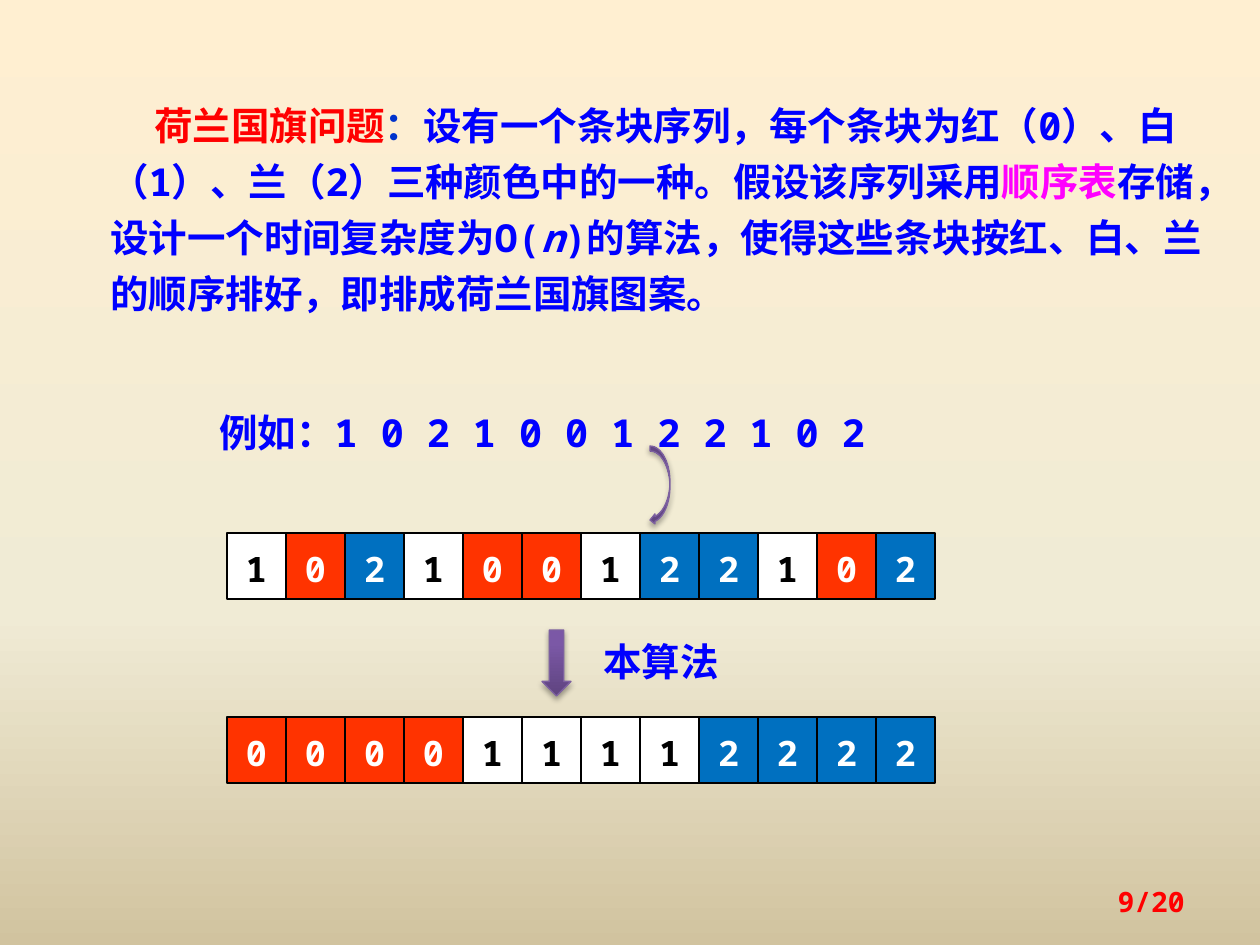
from copy import deepcopy
from lxml.etree import SubElement
from pptx import Presentation
from pptx.dml.color import RGBColor as RGB
from pptx.enum.shapes import MSO_SHAPE as SHAPE
from pptx.enum.text import MSO_ANCHOR as ANCHOR, MSO_AUTO_SIZE as AUTO, PP_ALIGN as ALIGN
from pptx.oxml import parse_xml
from pptx.oxml.ns import nsdecls, qn
from pptx.util import Emu, Pt

FACE = "Noto Sans Mono"
RED = RGB(0xFF, 0x00, 0x00)
BLUE = RGB(0x00, 0x00, 0xFF)
NAVY = RGB(0x00, 0x33, 0xCC)
PINK = RGB(0xFF, 0x00, 0xFF)
BLACK = RGB(0x00, 0x00, 0x00)
WHITE = RGB(0xFF, 0xFF, 0xFF)
FLAG_RED = RGB(0xFF, 0x33, 0x00)
FLAG_BLUE = RGB(0x00, 0x70, 0xC0)
EDGE = RGB(0x7D, 0x60, 0xA0)
SAND = [(0, RGB(0xFF, 0xEF, 0xD1)), (0.65, RGB(0xF0, 0xEB, 0xD5)),
        (1, RGB(0xD1, 0xC3, 0x9F))]
PLUM = [(0, RGB(0x5F, 0x44, 0x80)), (0.8, RGB(0x7B, 0x58, 0xA6)),
        (1, RGB(0x7C, 0x57, 0xA8))]

# Content: text boxes as (place in px, runs, run format, line format)
BODY = {"size": Pt(22), "bold": True, "color": BLUE}
LOOSE = {"line_spacing": 1.1}
TEXTS = [
    ((98, 86, 1131, 239), [
        ("荷兰国旗问题", {"color": RED}),
        ("：", {"color": NAVY}),
        ("设有一个条块序列，每个条块为红（0）、白（1）、兰（2）三种颜色中的一种。假设该序列采用", {}),
        ("顺序表", {"color": PINK}),
        ("存储，设计一个时间复杂度为O(", {}),
        ("n", {"italic": True}),
        (")的算法，使得这些条块按红、白、兰的顺序排好，即排成荷兰国旗图案。", {}),
    ], BODY, {"line_spacing": Pt(32)}),
    ((207, 398, 699, 64), [("例如：1 0 2 1 0 0 1 2 2 1 0 2", {})], BODY, LOOSE),
    ((591, 627, 168, 64), [("本算法", {})], BODY, LOOSE),
    ((903, 876, 294, 50), [("9/20", {})],
     {"size": Pt(16), "bold": True, "color": RED}, {"alignment": ALIGN.RIGHT}),
]
INDENT = 44

# Strips of blocks as (top in px, digits); hues give (fill, ink)
STRIPS = [(533, "102100122102"), (717, "000011112222")]
HUES = {"0": (FLAG_RED, WHITE), "1": (WHITE, BLACK), "2": (FLAG_BLUE, WHITE)}
LEFT, WIDE, HIGH = 227, 59, 66
DIGIT = {"size": Pt(20), "bold": True}

ARROWS = [(SHAPE.CURVED_LEFT_ARROW, (650, 446, 20, 79)),
          (SHAPE.DOWN_ARROW, (542, 630, 29, 66))]
SHADOW = (f'<a:effectLst {nsdecls("a")}><a:outerShdw blurRad="40000" dist="23000" '
          'dir="5400000" rotWithShape="0"><a:srgbClr val="000000">'
          '<a:alpha val="35000"/></a:srgbClr></a:outerShdw></a:effectLst>')


def px(num):
    return Emu(round(num * 914400 / 126))


def place(box):
    return [px(num) for num in box]


def apply(thing, form):
    for key, val in form.items():
        setattr(thing, key, val)


def write(para, runs, base, lines):
    apply(para, lines)
    for words, form in runs:
        run = para.add_run()
        run.text = words
        style = {"name": FACE, **base, **form}
        run.font.color.rgb = style.pop("color")
        apply(run.font, style)
        SubElement(run.font._element, qn("a:ea")).set("typeface", FACE)


def shade(fill, stops, angle):
    fill.gradient()
    fill.gradient_angle = angle
    last = fill.gradient_stops[1]._gs
    last.addnext(deepcopy(last))
    for stop, (spot, hue) in zip(fill.gradient_stops, stops):
        stop.position = spot
        stop.color.rgb = hue


def add_text(slide, box, runs, base, lines):
    frame = slide.shapes.add_textbox(*place(box)).text_frame
    apply(frame, {"word_wrap": True, "auto_size": AUTO.SHAPE_TO_FIT_TEXT})
    write(frame.paragraphs[0], runs, base, lines)
    return frame


def add_strip(slide, top, digits):
    group = slide.shapes.add_group_shape()
    for col, digit in enumerate(digits):
        fill, ink = HUES[digit]
        cell = group.shapes.add_shape(
            SHAPE.RECTANGLE, *place((LEFT + col * WIDE, top, WIDE, HIGH)))
        cell.shadow.inherit = False
        cell.fill.solid()
        cell.fill.fore_color.rgb = fill
        cell.line.color.rgb = BLACK
        cell.line.width = Pt(1.5)
        cell.text_frame.vertical_anchor = ANCHOR.MIDDLE
        write(cell.text_frame.paragraphs[0], [(digit, {})],
              {**DIGIT, "color": ink}, {**LOOSE, "alignment": ALIGN.CENTER})


def add_arrow(slide, kind, box):
    arrow = slide.shapes.add_shape(kind, *place(box))
    shade(arrow.fill, PLUM, 90)
    arrow.line.color.rgb = EDGE
    arrow.line.width = Pt(0.75)
    arrow._element.spPr.append(parse_xml(SHADOW))


def main():
    deck = Presentation()
    deck.slide_width, deck.slide_height = px(1260), px(945)
    slide = deck.slides.add_slide(deck.slide_layouts[6])
    shade(slide.background.fill, SAND, 270)

    # Text
    frames = [add_text(slide, *item) for item in TEXTS]
    first = frames[0].paragraphs[0]._p.get_or_add_pPr()
    first.set("indent", str(px(INDENT)))
    frames[-1].vertical_anchor = ANCHOR.MIDDLE

    # Blocks before and after sorting
    for strip in STRIPS:
        add_strip(slide, *strip)

    # Arrows between the steps
    for arrow in ARROWS:
        add_arrow(slide, *arrow)

    deck.save("out.pptx")


if __name__ == "__main__":
    main()
